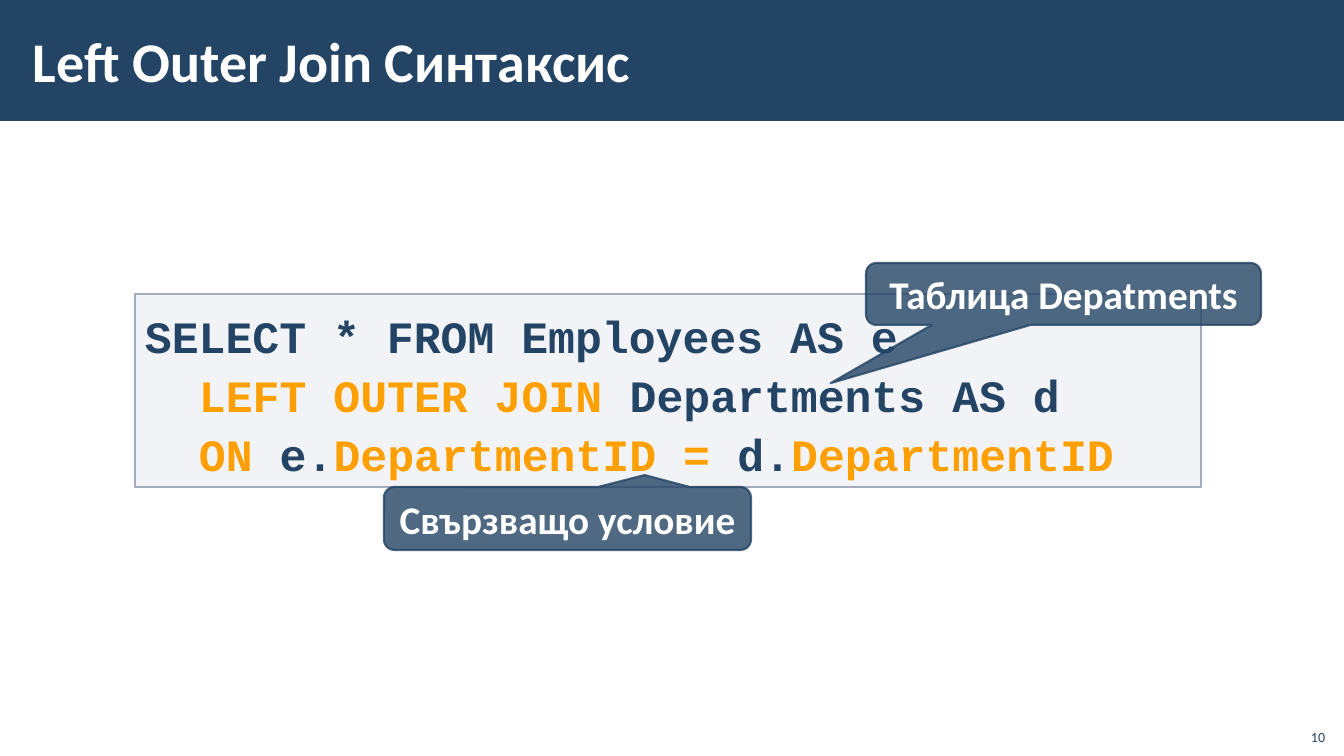
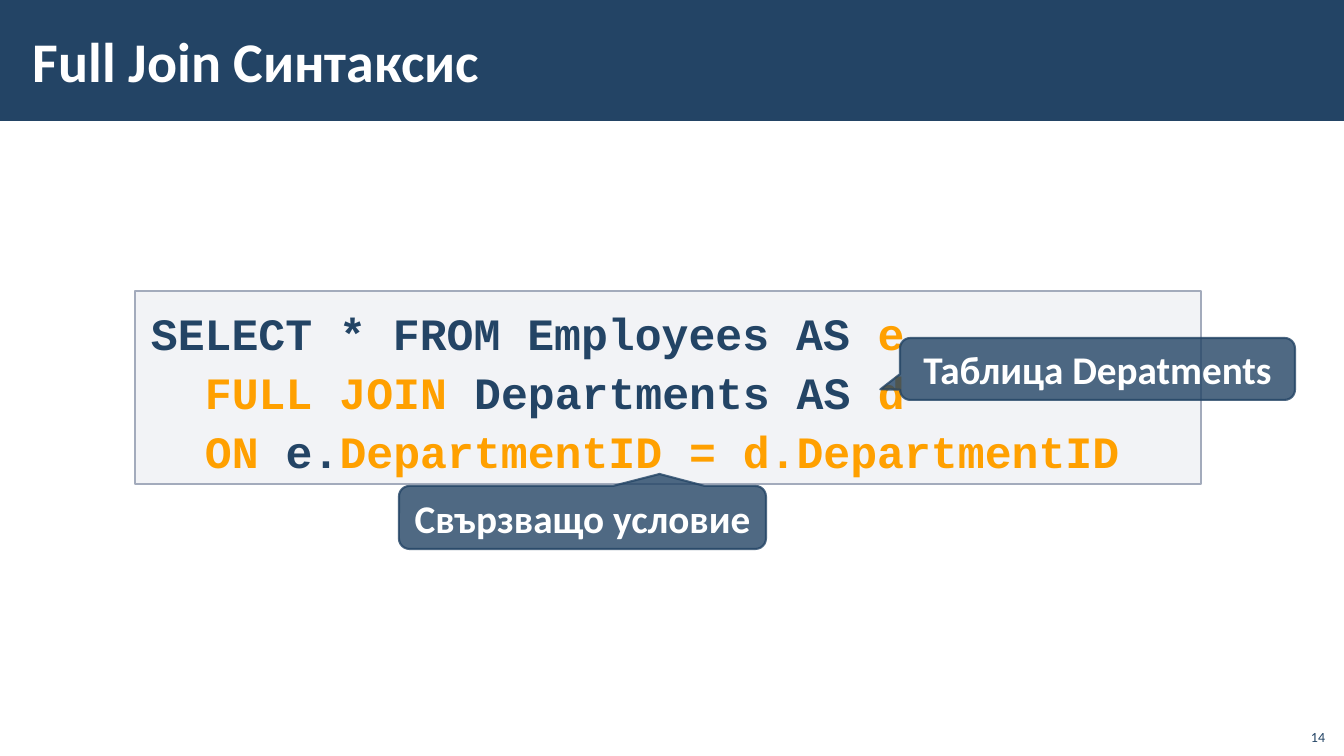
from lxml import etree
from pptx import Presentation
from pptx import util as u
from pptx.dml.color import RGBColor
from pptx.enum import shapes, text
from pptx.oxml.ns import qn

NAVY = RGBColor(0x23, 0x44, 0x65)
ORANGE = RGBColor(0xFF, 0xA0, 0x00)
WHITE = RGBColor(0xFF, 0xFF, 0xFF)
CODE_FILL = RGBColor(0xC2, 0xC7, 0xD2)
CODE_LINE = RGBColor(0xA3, 0xAB, 0xBC)
BODY_FONT, CODE_FONT = "Calibri", "Courier New"

SLIDE_W, SLIDE_H = 1344, 756
BAND_H = 121
CODE_LEFT, CODE_W, CODE_H = 135, 1066, 193
INDENT = 54  # two monospaced characters

# Code lines: (indent steps, [(words, colour), ...])
# Callouts: (words, box in px, pointer offset from the centre in box sizes)
SLIDES = [
    {
        "title": "Left Outer Join Синтаксис",
        "number": "10",
        "code_top": 294,
        "code_inset": 10,
        "code": [
            (0, [("SELECT * FROM Employees AS e", NAVY)]),
            (1, [("LEFT OUTER JOIN ", ORANGE), ("Departments AS d", NAVY)]),
            (1, [("ON ", ORANGE), ("e.", NAVY), ("DepartmentID = ", ORANGE),
                 ("d.", NAVY), ("DepartmentID", ORANGE)]),
        ],
        "callouts": [
            ("Таблица Depatments", (866, 263, 395, 62), (-0.59, 1.44)),
            ("Свързващо условие", (384, 487, 367, 63), (0.21, -0.69)),
        ],
    },
    {
        "title": "Full Join Синтаксис",
        "number": "14",
        "code_top": 291,
        "code_inset": 16,
        "code": [
            (0, [("SELECT * FROM Employees AS ", NAVY), ("e", ORANGE)]),
            (1, [("FULL JOIN ", ORANGE), ("Departments AS ", NAVY), ("d", ORANGE)]),
            (1, [("ON ", ORANGE), ("e.", NAVY),
                 ("DepartmentID = d.DepartmentID", ORANGE)]),
        ],
        "callouts": [
            ("Таблица Depatments", (900, 338, 395, 62), (-0.55, 0.33)),
            ("Свързващо условие", (399, 486, 367, 63), (0.21, -0.69)),
        ],
    },
]


def px(length):
    return u.Emu(round(length * 914400 / 100.8))


def set_alpha(fill_parent, percent):
    colour = fill_parent.find(qn("a:solidFill"))[0]
    etree.SubElement(colour, qn("a:alpha")).set("val", str(percent * 1000))


def style_run(run, size, colour, font=BODY_FONT, bold=True):
    run.font.name, run.font.size, run.font.bold = font, u.Pt(size), bold
    run.font.color.rgb = colour


def set_insets(frame, left, top, right, bottom):
    frame.margin_left, frame.margin_top = px(left), px(top)
    frame.margin_right, frame.margin_bottom = px(right), px(bottom)


def add_panel(slide, kind, box, fill, opacity=100, line=None, line_width=1):
    panel = slide.shapes.add_shape(kind, *map(px, box))
    panel.shadow.inherit = False
    panel.fill.solid()
    panel.fill.fore_color.rgb = fill
    if opacity < 100:
        set_alpha(panel._element.spPr, opacity)
    if line is None:
        panel.line.fill.background()
    else:
        panel.line.color.rgb = line
        panel.line.width = u.Pt(line_width)
    return panel


def move_to_layout(shape, layout):
    """Put the shape at the back of the layout, so that every slide shares it."""
    layout.shapes._spTree.insert(2, shape._element)


def write_title(slide, words):
    title = slide.shapes.title
    title.left, title.top, title.width, title.height = map(px, (21, 11, 1072, 98))
    frame = title.text_frame
    frame.text = words
    frame.word_wrap = True
    frame.vertical_anchor = text.MSO_ANCHOR.MIDDLE
    set_insets(frame, 12, 4, 12, 4)
    frame.paragraphs[0].alignment = text.PP_ALIGN.LEFT
    style_run(frame.paragraphs[0].runs[0], 40, WHITE)


def write_number(slide, number):
    frame = slide.shapes.add_textbox(*map(px, (1295, 718, 40, 32))).text_frame
    frame.text = number
    frame.word_wrap = True
    frame.vertical_anchor = text.MSO_ANCHOR.BOTTOM
    frame.paragraphs[0].alignment = text.PP_ALIGN.RIGHT
    style_run(frame.paragraphs[0].runs[0], 10, NAVY, bold=False)


def add_code(slide, lines, top, inset):
    panel = add_panel(slide, shapes.MSO_SHAPE.RECTANGLE,
                      (CODE_LEFT, top, CODE_W, CODE_H), CODE_FILL, 20, CODE_LINE)
    frame = panel.text_frame
    frame.word_wrap = True
    frame.vertical_anchor = text.MSO_ANCHOR.TOP
    set_insets(frame, inset, 12, 0, 12)
    for row, (steps, pieces) in enumerate(lines):
        line = frame.add_paragraph() if row else frame.paragraphs[0]
        line.alignment = text.PP_ALIGN.LEFT
        line.line_spacing = 1.05
        line.space_before = u.Pt(2)
        line._p.get_or_add_pPr().set("marL", str(px(steps * INDENT)))
        for words, colour in pieces:
            run = line.add_run()
            run.text = words
            style_run(run, 32, colour, CODE_FONT)


def add_callout(slide, words, box, pointer):
    callout = add_panel(slide, shapes.MSO_SHAPE.ROUNDED_RECTANGULAR_CALLOUT,
                        box, NAVY, 80, NAVY, 1.5)
    set_alpha(callout.line._ln, 80)
    callout.adjustments[0], callout.adjustments[1] = pointer
    frame = callout.text_frame
    frame.text = words
    frame.word_wrap = True
    frame.vertical_anchor = text.MSO_ANCHOR.MIDDLE
    frame.paragraphs[0].alignment = text.PP_ALIGN.CENTER
    style_run(frame.paragraphs[0].runs[0], 28, WHITE)


def main():
    deck = Presentation()
    deck.slide_width, deck.slide_height = px(SLIDE_W), px(SLIDE_H)
    layout = deck.slide_layouts[5]
    for index, content in enumerate(SLIDES):
        slide = deck.slides.add_slide(layout)
        if index == 0:
            band = add_panel(slide, shapes.MSO_SHAPE.RECTANGLE,
                             (0, 0, SLIDE_W, BAND_H), NAVY)
            move_to_layout(band, layout)
        write_title(slide, content["title"])
        add_code(slide, content["code"], content["code_top"], content["code_inset"])
        write_number(slide, content["number"])
        for callout in content["callouts"]:
            add_callout(slide, *callout)
    deck.save("out.pptx")


if __name__ == "__main__":
    main()
